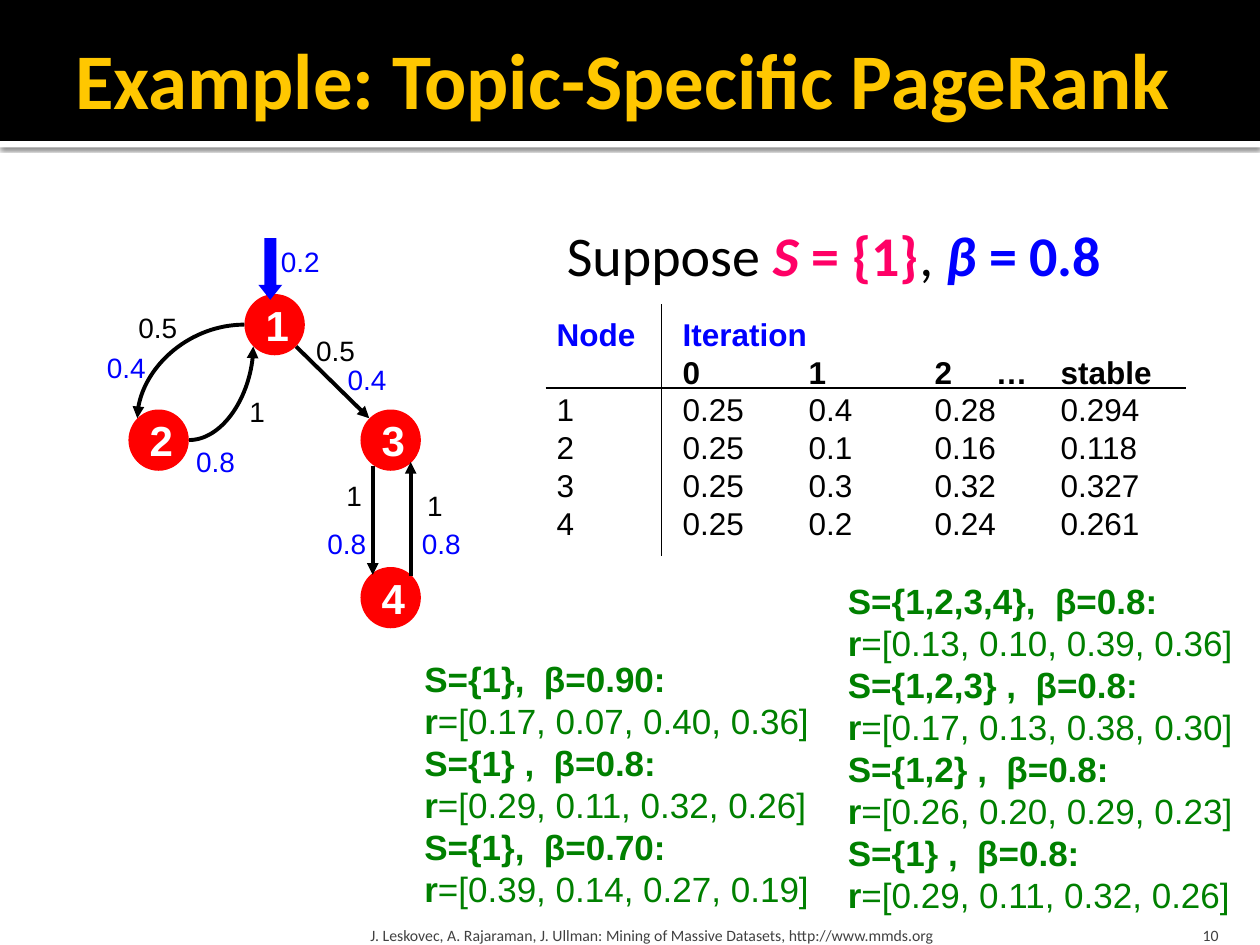
import lxml.etree
import pptx
import pptx.dml.color
import pptx.enum.shapes
import pptx.enum.text
import pptx.oxml.ns
import pptx.util

Pt = pptx.util.Pt
qn = pptx.oxml.ns.qn
SHAPE = pptx.enum.shapes.MSO_SHAPE
CONNECTOR = pptx.enum.shapes.MSO_CONNECTOR
ALIGN = pptx.enum.text.PP_ALIGN
ANCHOR = pptx.enum.text.MSO_ANCHOR
COLORS = {
    "black": "000000", "white": "FFFFFF", "gold": "FFC700", "red": "FF0000",
    "blue": "0000FF", "pink": "FF0066", "green": "008000", "gray": "414141",
}
RGB = {name: pptx.dml.color.RGBColor.from_string(value) for name, value in COLORS.items()}


def write(box, paragraphs, size=16, font="Arial", color="black", bold=False, align=ALIGN.LEFT,
          anchor=ANCHOR.TOP, spacing=None, margins=(7.2, 3.6, 7.2, 3.6)):
    frame = box.text_frame
    frame.word_wrap = True
    frame.vertical_anchor = anchor
    frame.margin_left, frame.margin_top, frame.margin_right, frame.margin_bottom = map(Pt, margins)
    for index, spans in enumerate(paragraphs):
        para = frame.add_paragraph() if index else frame.paragraphs[0]
        para.alignment = align
        if spacing:
            para.line_spacing = Pt(spacing)
        for text, style in spans:
            span = para.add_run()
            span.text = text
            span.font.name = font
            span.font.size = Pt(size)
            span.font.bold = style.get("bold", bold)
            span.font.italic = style.get("italic", False)
            span.font.color.rgb = RGB[style.get("color", color)]


def connect(start, end, width, arrow=False, curved=False):
    kind = CONNECTOR.CURVE if curved else CONNECTOR.STRAIGHT
    line = page.shapes.add_connector(kind, *map(Pt, start + end))
    line.line.color.rgb = RGB["black"]
    line.line.width = Pt(width)
    properties = line._element.spPr
    if curved:
        properties.find(qn("a:prstGeom")).set("prst", "curvedConnector2")
    if arrow:
        lxml.etree.SubElement(properties.find(qn("a:ln")), qn("a:tailEnd"), type="triangle")
    lxml.etree.SubElement(properties, qn("a:effectLst"))


deck = pptx.Presentation()
deck.slide_width, deck.slide_height = Pt(720), Pt(540)
page = deck.slides.add_slide(deck.slide_layouts[6])

for top, height, color in [(80.6, 3.6, "white"), (0, 80.6, "black")]:
    band = page.shapes.add_shape(SHAPE.RECTANGLE, 0, Pt(top), Pt(720), Pt(height))
    band.fill.solid()
    band.fill.fore_color.rgb = RGB[color]
    band.line.fill.background()
    band.shadow.inherit = False
    if color == "white":
        effects = band._element.spPr.find(qn("a:effectLst"))
        shadow = lxml.etree.SubElement(effects, qn("a:outerShdw"), blurRad=str(Pt(2.5)),
                                       dist=str(Pt(0.8)), dir="5400000", rotWithShape="0")
        tint = lxml.etree.SubElement(shadow, qn("a:srgbClr"), val=COLORS["black"])
        lxml.etree.SubElement(tint, qn("a:alpha"), val="60000")

title = page.shapes.add_textbox(Pt(36), Pt(5.8), Pt(684), Pt(77.8))
write(title, [[("Example: Topic-Specific PageRank", {})]], size=45, font="Calibri", color="gold",
      bold=True, anchor=ANCHOR.MIDDLE, margins=(7.2, 3.6, 3.6, 3.6))

nodes = {"1": (139.7, 168), "2": (73.4, 234), "3": (206, 234), "4": (206, 324)}
for name, (left, top) in nodes.items():
    node = page.shapes.add_shape(SHAPE.OVAL, Pt(left), Pt(top), Pt(34.5), Pt(35))
    node.fill.solid()
    node.fill.fore_color.rgb = RGB["red"]
    node.line.fill.background()
    node.shadow.inherit = False
    write(node, [[(name, {})]], size=24, color="white", bold=True,
          align=ALIGN.CENTER, anchor=ANCHOR.MIDDLE)

for start, end, curved in [
    ((139.7, 185.5), (78.5, 239), True),
    ((108, 251.5), (144.7, 198), True),
    ((169.2, 198), (211, 239), False),
    ((213, 266.5), (213, 328.5), False),
    ((234.7, 329), (234.7, 264), False),
]:
    connect(start, end, 2.25, arrow=True, curved=curved)

premise = page.shapes.add_textbox(Pt(316.8), Pt(122.4), Pt(321), Pt(46))
write(premise, [[
    ("Suppose ", {}),
    ("S", {"color": "pink", "bold": True, "italic": True}),
    (" = {1}", {"color": "pink", "bold": True}),
    (", ", {}),
    ("β", {"color": "blue", "bold": True, "italic": True}),
    (" = 0.8", {"color": "blue", "bold": True}),
]], size=32, font="Calibri")

ranks = [
    ("1", "0.25", "0.4", "0.28", "0.294"),
    ("2", "0.25", "0.1", "0.16", "0.118"),
    ("3", "0.25", "0.3", "0.32", "0.327"),
    ("4", "0.25", "0.2", "0.24", "0.261"),
]
iterations = page.shapes.add_textbox(Pt(311), Pt(176.4), Pt(356.4), Pt(136.8))
write(iterations, [
    [("Node\tIteration", {"color": "blue", "bold": True})],
    [("\t0\t1\t2\t…\tstable", {"bold": True})],
    *[[("\t".join(row), {})] for row in ranks],
], size=18, spacing=21.6)
for index, para in enumerate(iterations.text_frame.paragraphs):
    stops = lxml.etree.SubElement(para._p.get_or_add_pPr(), qn("a:tabLst"))
    for position in (72, 144, 216, 251, 288):
        if position % 72 == 0 or index == 1:
            lxml.etree.SubElement(stops, qn("a:tab"), pos=str(Pt(position)), algn="l")
connect((311.8, 221.8), (678, 221.8), 0.75)
connect((378, 174), (378, 318), 0.75)

teleport = page.shapes.add_shape(SHAPE.DOWN_ARROW, Pt(147.6), Pt(136), Pt(13.7), Pt(35.3))
teleport.adjustments[0], teleport.adjustments[1] = 0.5, 0.625
teleport.fill.solid()
teleport.fill.fore_color.rgb = RGB["blue"]
teleport.line.fill.background()
teleport.shadow.inherit = False

for text, left, top, color in [
    ("0.2", 153.4, 136, "blue"),
    ("0.5", 173.5, 187.2, "black"),
    ("0.5", 72, 174.2, "black"),
    ("1", 135.4, 221.8, "black"),
    ("1", 190.8, 270, "black"),
    ("1", 237, 275.8, "black"),
    ("0.4", 54, 196.6, "blue"),
    ("0.4", 191.5, 203.8, "blue"),
    ("0.8", 105, 250.6, "blue"),
    ("0.8", 180, 297.4, "blue"),
    ("0.8", 234, 297.4, "blue"),
]:
    width = 24 if text == "1" else 37
    label = page.shapes.add_textbox(Pt(left), Pt(top), Pt(width), Pt(26.6))
    write(label, [[(text, {})]], color=color)

number = page.shapes.add_textbox(Pt(645.8), Pt(518.4), Pt(57.6), Pt(21.6))
write(number, [[("10", {})]], size=9, font="Calibri", color="gray", align=ALIGN.RIGHT,
      anchor=ANCHOR.BOTTOM, margins=(7.2, 3.6, 7.2, 0))
footer = page.shapes.add_textbox(Pt(208), Pt(518.4), Pt(433.4), Pt(21.6))
write(footer, [[("J. Leskovec, A. Rajaraman, J. Ullman: Mining of Massive Datasets, "
                 "http://www.mmds.org", {})]],
      size=9, font="Calibri", color="gray", anchor=ANCHOR.BOTTOM, margins=(3.6, 3.6, 3.6, 0))

for left, top, height, results in [
    (477.4, 327.6, 200.9, [
        ("S={1,2,3,4},  β=0.8:", "0.13, 0.10, 0.39, 0.36"),
        ("S={1,2,3} ,  β=0.8:", "0.17, 0.13, 0.38, 0.30"),
        ("S={1,2} ,  β=0.8:", "0.26, 0.20, 0.29, 0.23"),
        ("S={1} ,  β=0.8:", "0.29, 0.11, 0.32, 0.26"),
    ]),
    (235.4, 372.2, 152.6, [
        ("S={1},  β=0.90:", "0.17, 0.07, 0.40, 0.36"),
        ("S={1} ,  β=0.8:", "0.29, 0.11, 0.32, 0.26"),
        ("S={1},  β=0.70:", "0.39, 0.14, 0.27, 0.19"),
    ]),
]:
    lines = []
    for setting, vector in results:
        lines.append([(setting, {"bold": True})])
        lines.append([("r", {"bold": True}), (f"=[{vector}]", {})])
    summary = page.shapes.add_textbox(Pt(left), Pt(top), Pt(235.4), Pt(height))
    write(summary, lines, size=20, color="green", spacing=24)

deck.save("out.pptx")
